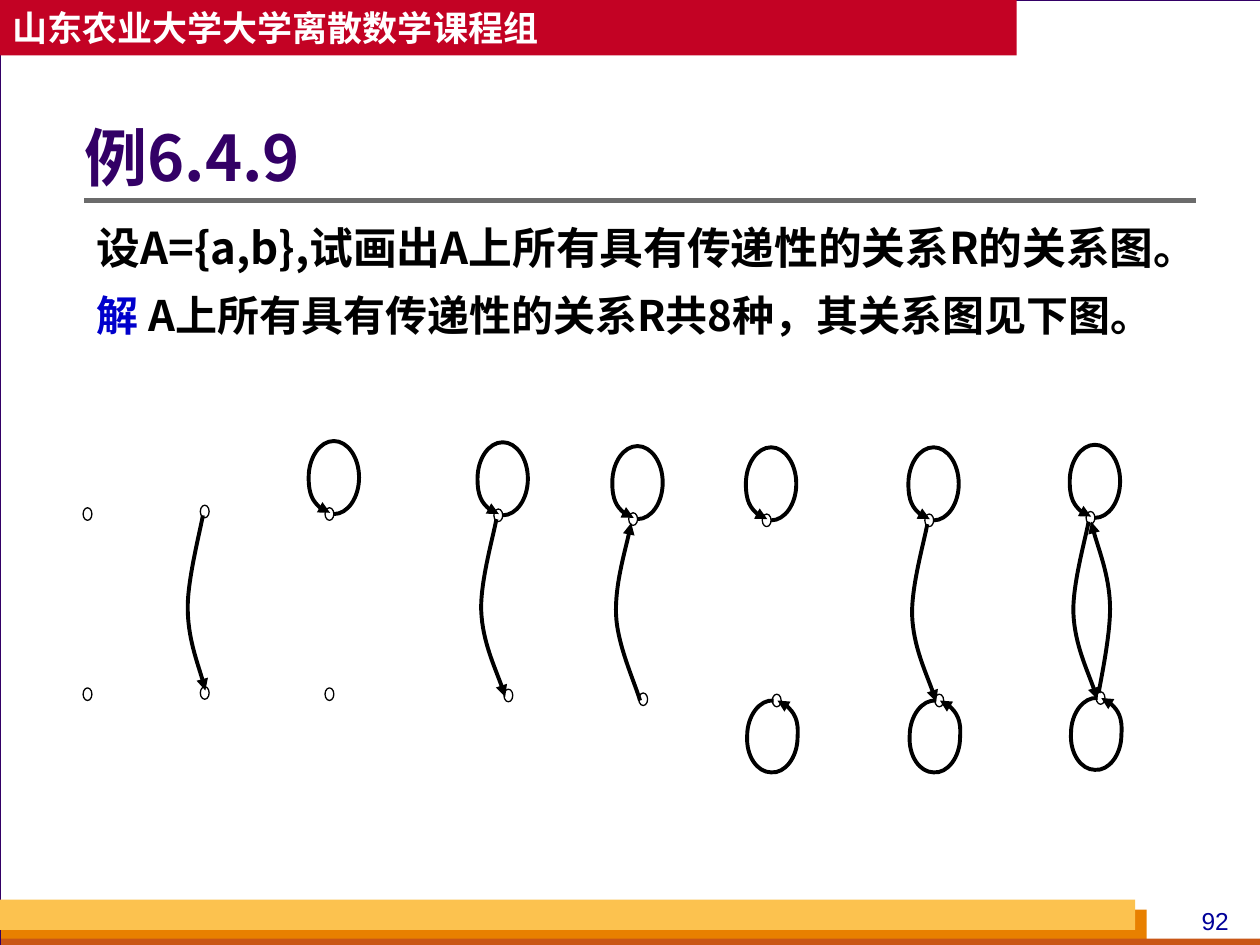
from lxml import etree
from pptx import Presentation
from pptx.dml.color import RGBColor
from pptx.enum.shapes import MSO_CONNECTOR, MSO_SHAPE
from pptx.enum.text import MSO_ANCHOR, PP_ALIGN
from pptx.oxml.ns import qn
from pptx.util import Inches, Pt

RECTANGLE, OVAL = MSO_SHAPE.RECTANGLE, MSO_SHAPE.OVAL
STRAIGHT = MSO_CONNECTOR.STRAIGHT
TOP, MIDDLE = MSO_ANCHOR.TOP, MSO_ANCHOR.MIDDLE
LEFT, CENTER = PP_ALIGN.LEFT, PP_ALIGN.CENTER

COLORS = {
    "backdrop": "D8DADA", "white": "FFFFFF", "black": "000000",
    "purple": "330066", "red": "C30224", "rule": "6B6B6B",
    "orange": "E88000", "rust": "C95616", "yellow": "FCC24F",
    "number": "000099", "answer": "0000CC",
}
CJK = "Noto Sans CJK SC"

BANDS = [  # left, top, width, height, fill, line
    (0, 0, 10.01, 7.5, "white", "purple"),
    (0.01, 7.22, 9.09, 0.28, "orange", None),
    (0.01, 7.45, 10, 0.08, "rust", None),
    (0, 7.14, 9.01, 0.24, "yellow", None),
    (0, 0, 8.07, 0.44, "red", None),
]
HEADER = [[("山东农业大学大学离散数学课程组", 20, "white")]]
TITLE = [[("例6.4.9", 36, "purple")]]
BODY = [
    [("设A={a,b},试画出A上所有具有传递性的关系R的关系图。", 25, "black")],
    [("解 ", 24, "answer"),
     ("A上所有具有传递性的关系R共8种，其关系图见下图。", 24, "black")],
]
PAGE_NUMBER = [[("92", 14, "number")]]

# Left and top of the upper node, shift to the lower node, arcs of the relation
GRAPHS = [
    (0.66, 4.03, (0, 1.43), []),
    (1.59, 4.01, (0, 1.44), ["straight down"]),
    (2.58, 4.03, (0, 1.43), ["upper loop"]),
    (3.92, 4.04, (0.08, 1.43), ["upper loop", "down"]),
    (4.99, 4.07, (0.08, 1.43), ["upper loop", "up"]),
    (6.05, 4.08, (0.08, 1.43), ["upper loop", "lower loop"]),
    (7.34, 4.08, (0.08, 1.43), ["upper loop", "down", "lower loop"]),
    (8.62, 4.06, (0.08, 1.43), ["upper loop", "down", "right up", "lower loop"]),
]
NODE_WIDTH, NODE_HEIGHT = 0.07, 0.1

# Bezier points, measured from the upper node's corner
DOWN = [(0.02, 0.08), (0, 0.2), (-0.11, 0.58), (-0.1, 0.81),
        (-0.09, 1.05), (0.05, 1.35), (0.09, 1.49)]
ARCS = {
    "upper loop": [(0.07, 0.05), (0.18, 0.05), (0.27, -0.08), (0.27, -0.24),
                   (0.27, -0.4), (0.18, -0.53), (0.07, -0.53),
                   (-0.04, -0.53), (-0.13, -0.4), (-0.13, -0.24),
                   (-0.13, -0.1), (-0.06, 0.02), (0.04, 0.04)],
    "lower loop": [(0.09, 1.48), (-0.02, 1.47), (-0.12, 1.6), (-0.12, 1.76),
                   (-0.13, 1.92), (-0.04, 2.05), (0.07, 2.05),
                   (0.18, 2.06), (0.28, 1.93), (0.28, 1.77),
                   (0.29, 1.63), (0.22, 1.51), (0.12, 1.48)],
    "straight down": [(0.02, 0.08), (0, 0.2), (-0.1, 0.58), (-0.1, 0.81),
                      (-0.1, 1.05), (0.01, 1.34), (0.04, 1.47)],
    "down": DOWN,
    "up": DOWN[::-1],
    "right up": [(0.1, 1.44), (0.12, 1.32), (0.2, 0.95), (0.19, 0.73),
                 (0.18, 0.5), (0.07, 0.22), (0.04, 0.08)],
}


def color(name):
    return RGBColor.from_string(COLORS[name])


def style(shape, fill=None, line=None, width=0.75):
    shape.shadow.inherit = False
    if fill:
        shape.fill.solid()
        shape.fill.fore_color.rgb = color(fill)
    else:
        shape.fill.background()
    if line:
        shape.line.color.rgb = color(line)
        shape.line.width = Pt(width)
    else:
        shape.line.fill.background()


def add_shape(page, kind, area, **look):
    shape = page.shapes.add_shape(kind, *map(Inches, area))
    style(shape, **look)


def add_text(page, area, paragraphs, font=CJK, bold=True, align=LEFT, anchor=TOP,
             inset=0.1, spacing=None, gap=0, wrap=True):
    box = page.shapes.add_textbox(*map(Inches, area))
    frame = box.text_frame
    frame.word_wrap = wrap
    frame.vertical_anchor = anchor
    frame.margin_left = Inches(inset)
    for index, runs in enumerate(paragraphs):
        para = frame.add_paragraph() if index else frame.paragraphs[0]
        para.alignment = align
        if spacing:
            para.line_spacing = spacing
        if index:
            para.space_before = Pt(gap)
        for text, size, shade in runs:
            span = para.add_run()
            span.text = text
            span.font.name, span.font.size, span.font.bold = font, Pt(size), bold
            span.font.color.rgb = color(shade)
            east_asian = etree.SubElement(span.font._element, qn("a:ea"))
            east_asian.set("typeface", font)


def add_arrow_curve(page, points):
    """Build an open outline, then turn each three line steps into one Bezier."""
    start, *rest = [(Inches(x), Inches(y)) for x, y in points]
    builder = page.shapes.build_freeform(*start)
    builder.add_line_segments(rest, close=False)
    curve = builder.convert_to_shape()
    style(curve, line="black", width=2.25)
    outline = curve._element.find(".//" + qn("a:path"))
    steps = outline.findall(qn("a:lnTo"))
    for first in range(0, len(steps), 3):
        bezier = etree.SubElement(outline, qn("a:cubicBezTo"))
        for step in steps[first:first + 3]:
            bezier.append(step[0])
            outline.remove(step)
    etree.SubElement(curve.line._get_or_add_ln(), qn("a:tailEnd")).set("type", "triangle")


def add_graph(page, left, top, shift, arcs):
    for x, y in ((left, top), (left + shift[0], top + shift[1])):
        add_shape(page, OVAL, (x, y, NODE_WIDTH, NODE_HEIGHT), line="black")
    for arc in arcs:
        add_arrow_curve(page, [(left + x, top + y) for x, y in ARCS[arc]])


def main():
    deck = Presentation()
    deck.slide_width, deck.slide_height = Inches(10), Inches(7.5)
    page = deck.slides.add_slide(deck.slide_layouts[6])
    page.background.fill.solid()
    page.background.fill.fore_color.rgb = color("backdrop")

    for *area, fill, line in BANDS:
        add_shape(page, RECTANGLE, area, fill=fill, line=line)
    rule = page.shapes.add_connector(
        STRAIGHT, Inches(0.67), Inches(1.59), Inches(9.49), Inches(1.59))
    rule.line.color.rgb = color("rule")
    rule.line.width = Pt(3)
    etree.SubElement(rule._element.spPr, qn("a:effectLst"))

    add_text(page, (9.33, 7.14, 0.63, 0.34), PAGE_NUMBER,
             font="Arial", bold=False, align=CENTER)
    add_text(page, (0, 0, 8.07, 0.44), HEADER, anchor=MIDDLE)
    add_text(page, (0.67, 0.77, 8.82, 1.01), TITLE,
             anchor=MIDDLE, inset=0, spacing=0.9)
    add_text(page, (0.67, 1.66, 8.93, 1.24), BODY, spacing=1.1, gap=6.5)
    for graph in GRAPHS:
        add_graph(page, *graph)
    deck.save("out.pptx")


if __name__ == "__main__":
    main()
